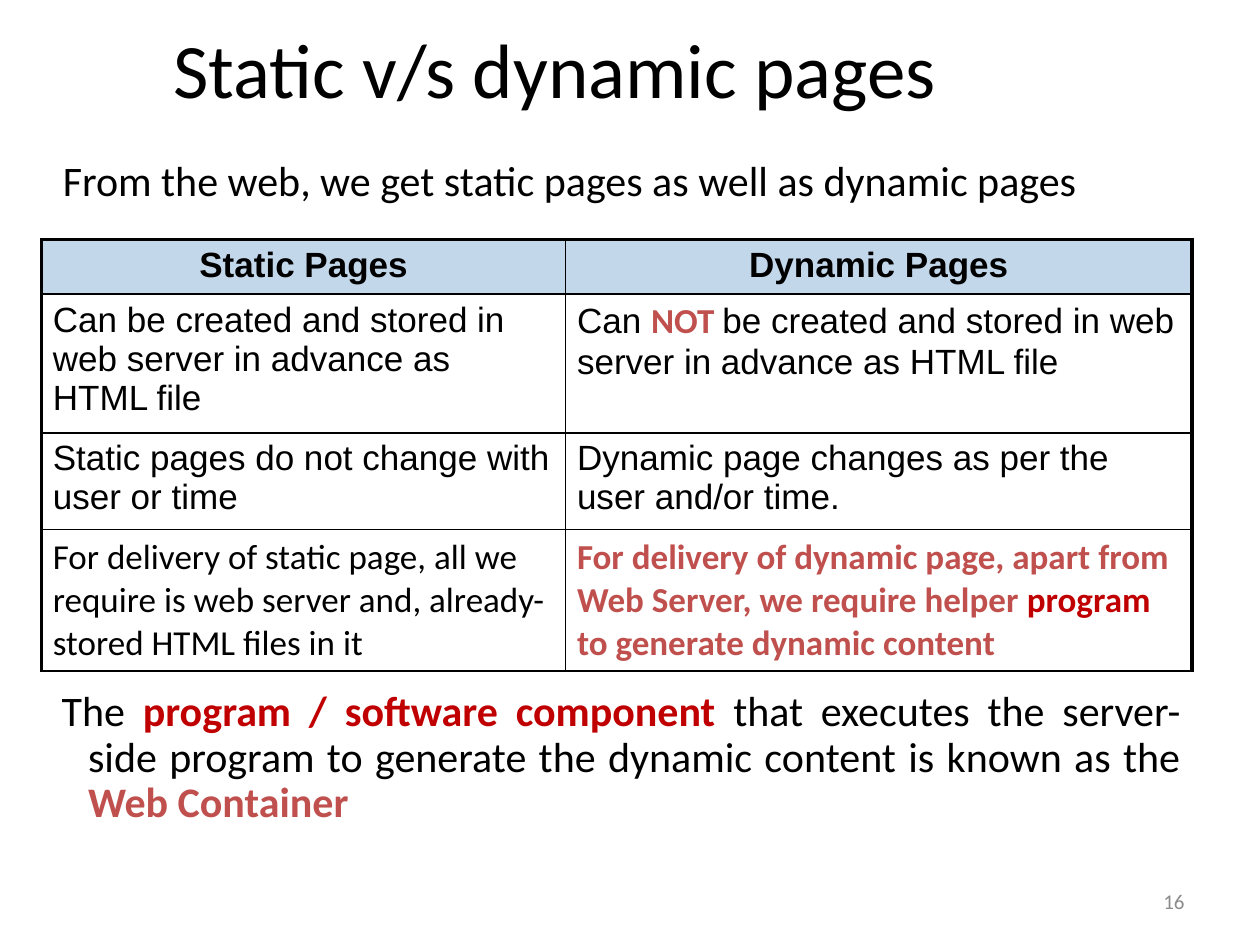
import pptx
import pptx.dml.color
import pptx.enum.text
import pptx.oxml
import pptx.oxml.ns
import pptx.util

Inches = pptx.util.Inches
Align = pptx.enum.text.PP_ALIGN
Anchor = pptx.enum.text.MSO_ANCHOR

BLACK, GREY, RED, BRICK, HEADER_BLUE = "000000", "8C8C8C", "C00000", "C0504D", "C3D7EB"
THIN, THICK = 1, 2.25


def color(hex_value):
    return pptx.dml.color.RGBColor.from_string(hex_value)


def apply(target, values):
    for name, value in values.items():
        setattr(target, name, value)


def border(side, points):
    return pptx.oxml.parse_xml(
        f'<a:{side} {pptx.oxml.ns.nsdecls("a")} w="{int(pptx.util.Pt(points))}">'
        f'<a:solidFill><a:srgbClr val="{BLACK}"/></a:solidFill></a:{side}>'
    )


class SlideBuilder:
    def __init__(self, deck):
        self.slide = deck.slides.add_slide(deck.slide_layouts[5])
        self.base = {"size": 24, "name": "Calibri", "bold": False, "color": BLACK}

    def add_runs(self, frame, runs, alignment=Align.LEFT, line_spacing=None, **style):
        frame.word_wrap = True
        paragraph = frame.paragraphs[0]
        apply(paragraph, {"alignment": alignment, "line_spacing": line_spacing,
                          "space_before": pptx.util.Pt(0)})
        for text, changes in runs:
            run = paragraph.add_run()
            run.text = text
            look = {**self.base, **style, **changes}
            run.font.color.rgb = color(look.pop("color"))
            look["size"] = pptx.util.Pt(look["size"])
            apply(run.font, look)
        return paragraph

    def title(self, text, left, top, width, height):
        heading = self.slide.shapes.title
        apply(heading, {"left": Inches(left), "top": Inches(top),
                        "width": Inches(width), "height": Inches(height)})
        heading.text_frame.vertical_anchor = Anchor.MIDDLE
        self.add_runs(heading.text_frame, [(text, {})], Align.CENTER, size=44)

    def text(self, runs, left, top, width, height, anchor=Anchor.TOP, hanging=0, **style):
        frame = self.slide.shapes.add_textbox(
            Inches(left), Inches(top), Inches(width), Inches(height)).text_frame
        frame.vertical_anchor = anchor
        paragraph = self.add_runs(frame, runs, **style)
        if hanging:
            properties = paragraph._p.get_or_add_pPr()
            properties.set("marL", str(int(Inches(hanging))))
            properties.set("indent", str(-int(Inches(hanging))))

    def table(self, rows, left, top, widths, heights):
        grid = self.slide.shapes.add_table(
            len(rows), len(widths), Inches(left), Inches(top),
            Inches(sum(widths)), Inches(sum(heights))).table
        apply(grid, {"first_row": False, "horz_banding": False})
        for column, width in zip(grid.columns, widths):
            column.width = Inches(width)
        for row, height in zip(grid.rows, heights):
            row.height = Inches(height)
        for r, row in enumerate(rows):
            for c, runs in enumerate(row):
                self.cell(grid.cell(r, c), runs, r == 0, c == 0, c == len(row) - 1)

    def cell(self, cell, runs, is_header, is_first, is_last):
        apply(cell, {"margin_left": Inches(0.09), "margin_right": Inches(0.09)})
        self.add_runs(cell.text_frame, runs, Align.CENTER if is_header else Align.LEFT,
                      size=20, name="Arial", bold=is_header)
        thick_sides = {"lnL": is_first, "lnR": is_last, "lnT": is_header, "lnB": False}
        for side, is_thick in thick_sides.items():
            cell._tc.get_or_add_tcPr().append(border(side, THICK if is_thick else THIN))
        if is_header:
            cell.fill.solid()
            cell.fill.fore_color.rgb = color(HEADER_BLUE)
        else:
            cell.fill.background()


def main():
    deck = pptx.Presentation()
    apply(deck, {"slide_width": Inches(10), "slide_height": Inches(7.5)})
    builder = SlideBuilder(deck)
    calibri = {"name": "Calibri"}
    brick = {"name": "Calibri", "bold": True, "color": BRICK}
    red = {**brick, "color": RED}

    comparison = [
        [[("Static Pages", {})], [("Dynamic Pages", {})]],
        [[("Can be created and stored in web server in advance as HTML file", {})],
         [("Can ", {}), ("NOT ", brick),
          ("be created and stored in web server in advance as HTML file", {})]],
        [[("Static pages do not change with user or time", {})],
         [("Dynamic page changes as per the user and/or time.", {})]],
        [[("For delivery of static page, all we require is web server and, "
           "already-stored HTML files in it", calibri)],
         [("For delivery of dynamic page, apart from Web Server, we require helper ", brick),
          ("program", red), (" to generate dynamic content", brick)]],
    ]
    container_note = [
        ("The ", {}), ("program / software component", red),
        (" that executes the server-side program to generate the dynamic content "
         "is known as the", {}),
        (" Web Container", brick),
    ]

    builder.title("Static v/s dynamic pages", 0.33, 0.01, 8.15, 1.06)
    builder.text([("16", {})], 7.17, 6.95, 2.33, 0.4, anchor=Anchor.MIDDLE,
                 alignment=Align.RIGHT, size=12, color=GREY)
    builder.table(comparison, 0.33, 1.9, [4.16, 4.97], [0.43, 1.03, 0.77, 1.12])
    builder.text([("From the web, we get static pages as well as dynamic pages", {})],
                 0.4, 1.22, 9.11, 0.46, line_spacing=0.9)
    builder.text(container_note, 0.39, 5.43, 9.08, 1.19, hanging=0.21,
                 alignment=Align.JUSTIFY, line_spacing=0.9)
    deck.save("out.pptx")


if __name__ == "__main__":
    main()
